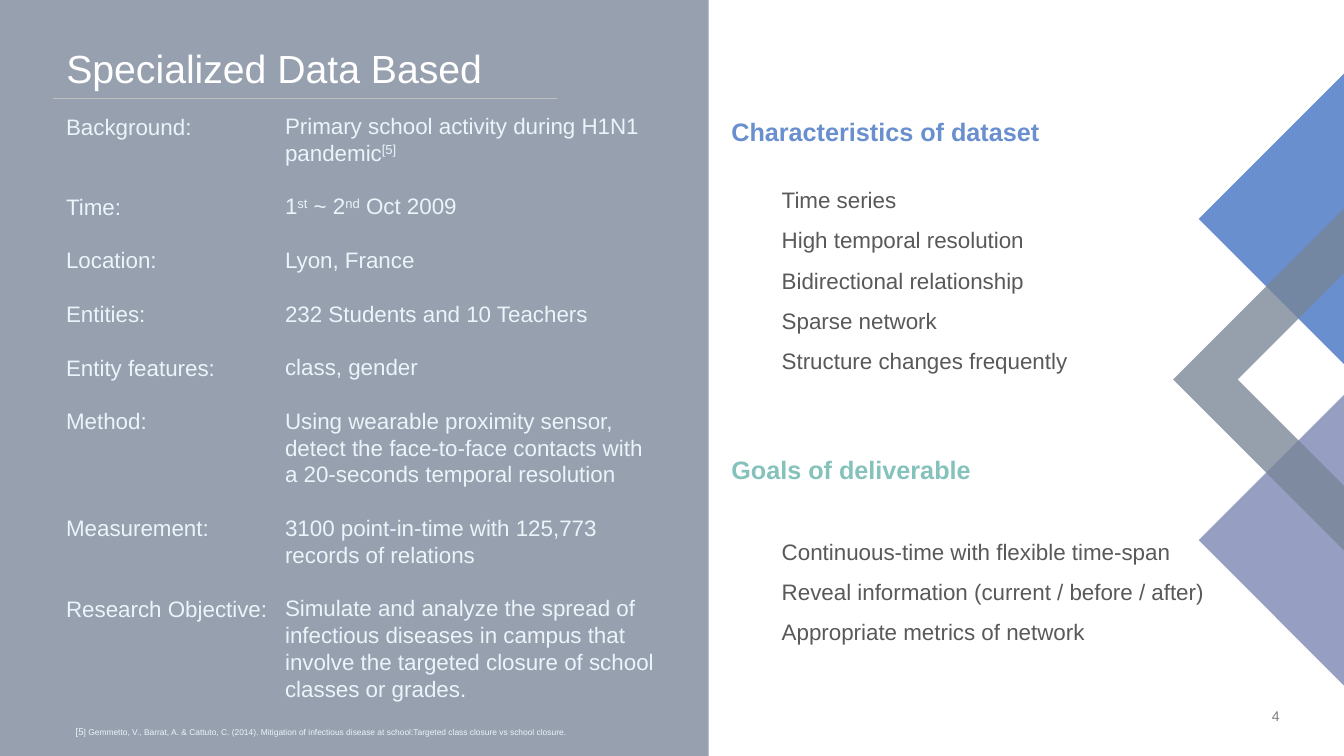
import dataclasses

import lxml.etree
import pptx
import pptx.dml.color
import pptx.enum.shapes
import pptx.enum.text
import pptx.oxml.ns
import pptx.util

Pt = pptx.util.Pt
Align = pptx.enum.text.PP_ALIGN
Anchor = pptx.enum.text.MSO_ANCHOR


@dataclasses.dataclass(frozen=True)
class Theme:
    font: str = "Arial"
    panel: str = "96A0AE"
    white: str = "FFFFFF"
    pale: str = "EBF4FA"
    rule: str = "BFBFBF"
    body_ink: str = "595959"
    number_ink: str = "808080"
    blue: str = "698FCE"
    teal: str = "85C2BC"
    violet: str = "969EC2"
    slate: str = "778495"
    title: float = 28
    heading: float = 18
    body: float = 16
    number: float = 10
    cite_mark: float = 7
    cite: float = 6
    body_line: float = 19.15
    heading_line: float = 21.5
    item_line: float = 28.7


THEME = Theme()

FACTS = [
    ("Background:", "Primary school activity during H1N1 pandemic^[5]^", 2),
    ("Time:", "1^st^ ~ 2^nd^ Oct 2009", 1),
    ("Location:", "Lyon, France", 1),
    ("Entities:", "232 Students and 10 Teachers", 1),
    ("Entity features:", "class, gender", 1),
    ("Method:", "Using wearable proximity sensor, detect the face-to-face contacts "
     "with a 20-seconds temporal resolution", 3),
    ("Measurement:", "3100 point-in-time with 125,773 records of relations", 2),
    ("Research Objective:", "Simulate and analyze the spread of infectious diseases in "
     "campus that involve the targeted closure of school classes or grades.", 4),
]

SECTIONS = [
    ("Characteristics of dataset", THEME.blue, 0, THEME.body_line,
     ["Time series", "High temporal resolution", "Bidirectional relationship",
      "Sparse network", "Structure changes frequently"]),
    ("Goals of deliverable", THEME.teal, 3 * THEME.body_line, THEME.item_line,
     ["Continuous-time with flexible time-span",
      "Reveal information (current / before / after)",
      "Appropriate metrics of network"]),
]

CITATION = ("^[5^] Gemmetto, V., Barrat, A. & Cattuto, C. (2014). Mitigation of infectious "
            "disease at school:Targeted class closure vs school closure.")


def rgb(value):
    return pptx.dml.color.RGBColor.from_string(value)


def add_frame(slide, left, top, width, height, anchor=Anchor.TOP, wrap=True):
    frame = slide.shapes.add_textbox(Pt(left), Pt(top), Pt(width), Pt(height)).text_frame
    frame.margin_left = frame.margin_right = frame.margin_top = frame.margin_bottom = 0
    frame.vertical_anchor = anchor
    frame.word_wrap = wrap
    return frame


def write(frame, text, size=THEME.body, color=THEME.pale, bold=False, align=Align.LEFT,
          line=None, before=0, after=0, indent=0, marked_size=None):
    paragraph = frame.paragraphs[0]
    if paragraph.runs:
        paragraph = frame.add_paragraph()
    paragraph.alignment = align
    paragraph.space_before = Pt(before)
    paragraph.space_after = Pt(after)
    if line:
        paragraph.line_spacing = line
    if indent:
        paragraph.level = 1
        properties = paragraph._p.get_or_add_pPr()
        properties.set("marL", str(Pt(indent)))
        properties.set("indent", "0")
    for index, part in enumerate(text.split("^")):
        if not part:
            continue
        marked = index % 2 == 1
        run = paragraph.add_run()
        run.text = part
        run.font.name = THEME.font
        run.font.size = Pt(marked_size if marked and marked_size else size)
        run.font.bold = bold
        run.font.color.rgb = rgb(color)
        if marked and not marked_size:
            run._r.get_or_add_rPr().set("baseline", "30000")


def paint(shape, color, opacity=100):
    shape.shadow.inherit = False
    shape.fill.solid()
    shape.fill.fore_color.rgb = rgb(color)
    shape.line.fill.background()
    if opacity < 100:
        tint = shape.fill._xPr.find(".//" + pptx.oxml.ns.qn("a:srgbClr"))
        alpha = lxml.etree.SubElement(tint, pptx.oxml.ns.qn("a:alpha"))
        alpha.set("val", str(opacity * 1000))


def add_panel(slide, left, top, width, height):
    panel = slide.shapes.add_shape(pptx.enum.shapes.MSO_SHAPE.RECTANGLE,
                                   Pt(left), Pt(top), Pt(width), Pt(height))
    paint(panel, THEME.panel)


def add_title(slide, left, top, width, height):
    frame = add_frame(slide, left + 9.4, top, width - 9.4, height - 4.6,
                      Anchor.BOTTOM, wrap=False)
    write(frame, "Specialized Data Based", size=THEME.title, color=THEME.white)
    bottom = Pt(top + height)
    rule = slide.shapes.add_connector(pptx.enum.shapes.MSO_CONNECTOR.STRAIGHT,
                                      Pt(left + width), bottom, Pt(left), bottom)
    rule.line.color.rgb = rgb(THEME.rule)
    rule.line.width = Pt(0.25)
    lxml.etree.SubElement(rule._element.spPr, pptx.oxml.ns.qn("a:effectLst"))


def add_facts(slide, left, top, width, height):
    label_width = 156.4
    pitch = THEME.body_line
    labels = add_frame(slide, left, top + 0.3, label_width, height)
    values = add_frame(slide, left + label_width, top, width - label_width, height)
    for label, value, line_count in FACTS:
        write(labels, label, line=Pt(pitch), after=line_count * pitch)
        write(values, value, line=Pt(pitch), after=pitch)


def add_sections(slide, left, top, width, height):
    frame = add_frame(slide, left, top, width, height)
    for heading, color, before, after, items in SECTIONS:
        write(frame, heading, size=THEME.heading, color=color, bold=True,
              line=Pt(THEME.heading_line), before=before, after=after)
        for item in items:
            write(frame, item, color=THEME.body_ink, line=Pt(THEME.item_line), indent=36)


def add_footer(slide, left, top, width, height):
    citation = add_frame(slide, left, top, 740, height, Anchor.MIDDLE)
    write(citation, CITATION, size=THEME.cite, line=1.2, marked_size=THEME.cite_mark)
    number = add_frame(slide, left + width - 222, top - 1.7, 222, 16.6, Anchor.MIDDLE)
    write(number, "4", size=THEME.number, color=THEME.number_ink, align=Align.RIGHT)


def add_outline(slide, points, color, opacity=100):
    corners = [(Pt(x), Pt(y)) for x, y in points]
    builder = slide.shapes.build_freeform(*corners[0])
    builder.add_line_segments(corners[1:], close=True)
    paint(builder.convert_to_shape(), color, opacity)


def add_diamonds(slide, left, top, width, height):
    right = left + width
    middle = top + height / 2
    half = 103.7
    for center, color in ((top + height - half, THEME.violet), (top + half, THEME.blue)):
        add_outline(slide, [(right, center - half), (right - half, center),
                            (right, center + half)], color)
    inner = width - 46.1
    add_outline(slide, [(left, middle), (right, middle + width), (right, middle + inner),
                        (right - inner, middle), (right, middle - inner),
                        (right, middle - width)], THEME.slate, opacity=77)


def main():
    deck = pptx.Presentation()
    deck.slide_width, deck.slide_height = Pt(960), Pt(540)
    slide = deck.slides.add_slide(deck.slide_layouts[6])
    add_panel(slide, 0, 0, 506.2, 540)
    add_title(slide, 38, 24, 360, 46)
    add_footer(slide, 54, 505, 860, 33.6)
    add_facts(slide, 47.2, 80.2, 420, 436)
    add_sections(slide, 522.4, 83, 370, 390)
    add_diamonds(slide, 838, 52.6, 122, 437)
    deck.save("out.pptx")


if __name__ == "__main__":
    main()
